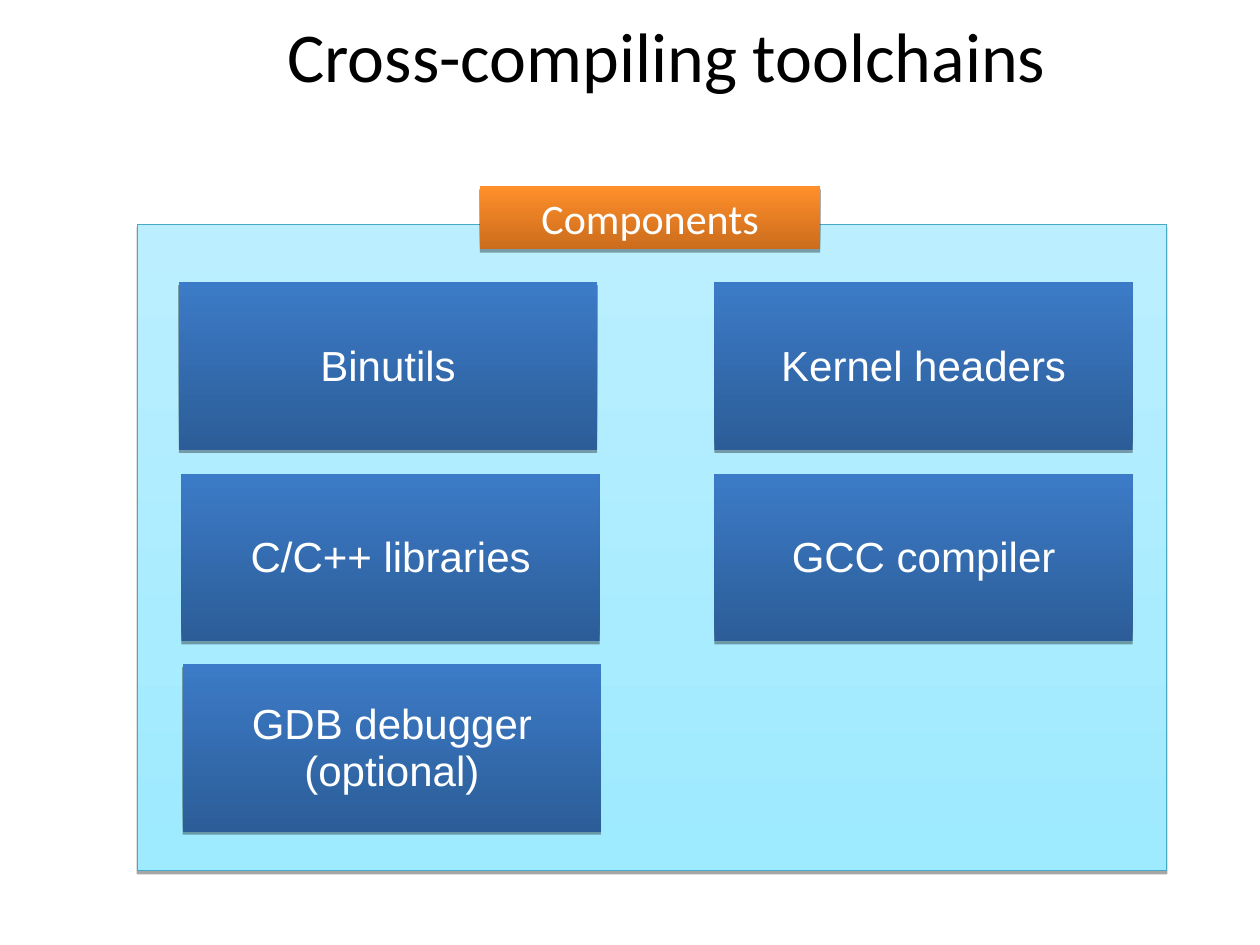
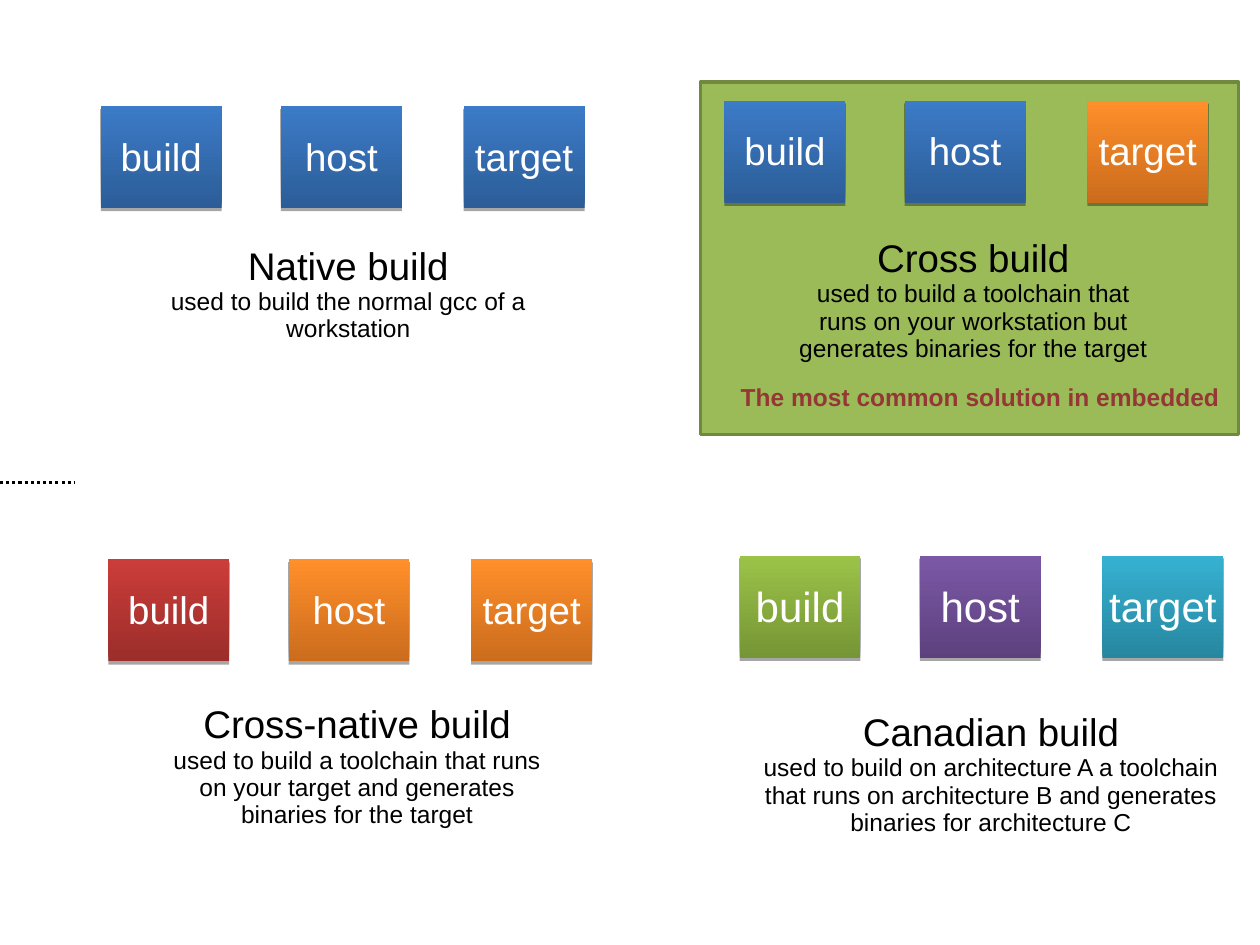
import pptx
import pptx.util
from pptx.dml.color import RGBColor
from pptx.enum.dml import MSO_LINE
from pptx.enum.shapes import MSO_CONNECTOR, MSO_SHAPE
from pptx.enum.text import MSO_ANCHOR, PP_ALIGN
from pptx.util import Inches
from lxml import etree

COLORS = {
    "white": "FFFFFF", "black": "000000", "note": "953735",
    "panel_line": "46AAC5", "highlight": "9BBB59", "highlight_line": "71893F",
}
# Gradients run from bottom to top.
GRADIENTS = {
    "panel": ("9EEAFF", "BBEFFF"),
    "blue": ("2C5D98", "3C7BC7"),
    "orange": ("CB6C1D", "FF8F2A"),
    "red": ("9B2D2A", "CB3D3A"),
    "green": ("769535", "9BC348"),
    "purple": ("5D417E", "7B58A6"),
    "cyan": ("2787A0", "36B1D2"),
}

TITLE = "Cross-compiling toolchains"
PANEL_LABEL = "Components"
RIGHT_COLUMN = 5.67
COMPONENT_SIZE = (3.32, 1.33)
# top, left of the first box, labels
COMPONENT_ROWS = [
    (2.24, 1.42, ["Binutils", "Kernel headers"]),
    (3.76, 1.44, ["C/C++ libraries", "GCC compiler"]),
    (5.27, 1.45, ["GDB debugger\n(optional)"]),
]

MACHINES = ["build", "host", "target"]
MACHINE_OFFSETS = [0, 1.43, 2.88]
MACHINE_SIZE = (0.96, 0.81)
BUILDS = [
    dict(name="Native build", at=(0.8, 0.84), size=22,
         fills=["blue", "blue", "blue"], box=(1.2, 1.93, 3.13, 0.78),
         use="used to build the normal gcc of a workstation"),
    dict(name="Cross build", at=(5.75, 0.8), size=22,
         fills=["blue", "blue", "orange"], box=(6.3, 1.87, 2.85, 1),
         use="used to build a toolchain that runs on your workstation "
             "but generates binaries for the target"),
    dict(name="Cross-native build", at=(0.86, 4.44), size=22,
         fills=["red", "orange", "orange"], box=(1.27, 5.57, 3.13, 1),
         use="used to build a toolchain that runs on your target "
             "and generates binaries for the target"),
    dict(name="Canadian build", at=(5.87, 4.41), size=24,
         fills=["green", "purple", "cyan"], box=(6.02, 5.63, 3.69, 1),
         use="used to build on architecture A a toolchain that runs on "
             "architecture B and generates binaries for architecture C"),
]
NOTE = "The most common solution in embedded"


def rgb(name):
    return RGBColor.from_string(COLORS[name])


def write(sp, text, sizes=(24,), font="Arial", color="white", bold=False,
          anchor=MSO_ANCHOR.MIDDLE, spacing=0.93, insets=(0, 0.02, 0, 0)):
    """Write one centred paragraph per line; the last size covers the rest."""
    tf = sp.text_frame
    tf.word_wrap = True
    tf.vertical_anchor = anchor
    (tf.margin_left, tf.margin_top,
     tf.margin_right, tf.margin_bottom) = map(Inches, insets)
    for i, line in enumerate(text.split("\n")):
        p = tf.paragraphs[0] if i == 0 else tf.add_paragraph()
        p.alignment = PP_ALIGN.CENTER
        p.line_spacing = spacing
        r = p.add_run()
        r.text = line
        r.font.size = pptx.util.Pt(sizes[min(i, len(sizes) - 1)])
        r.font.name = font
        r.font.bold = bold
        r.font.color.rgb = rgb(color)


def add_text(s, box, text, **fmt):
    sp = s.shapes.add_textbox(*map(Inches, box))
    write(sp, text, anchor=MSO_ANCHOR.TOP, **fmt)


def add_rect(s, box, fill, line=None, width=1):
    """Add a rectangle; a gradient name as fill also brings a shadow."""
    sp = s.shapes.add_shape(MSO_SHAPE.RECTANGLE, *map(Inches, box))
    sp.shadow.inherit = False
    if fill in GRADIENTS:
        sp.fill.gradient()
        sp.fill.gradient_angle = 90
        for stop, color in zip(sp.fill.gradient_stops, GRADIENTS[fill]):
            stop.color.rgb = RGBColor.from_string(color)
        add_shadow(sp)
    else:
        sp.fill.solid()
        sp.fill.fore_color.rgb = rgb(fill)
    if line:
        sp.line.color.rgb = rgb(line)
        sp.line.width = pptx.util.Pt(width)
    else:
        sp.line.fill.background()
    return sp


def add_shadow(sp):
    qn = pptx.oxml.ns.qn
    effects = sp._element.spPr.find(qn("a:effectLst"))
    shadow = etree.SubElement(effects, qn("a:outerShdw"), blurRad="0",
                              dist=str(pptx.util.Pt(1.8)), dir="5400000",
                              algn="ctr", rotWithShape="0")
    color = etree.SubElement(shadow, qn("a:srgbClr"), val=COLORS["black"])
    etree.SubElement(color, qn("a:alpha"), val="35000")


def components_slide(s):
    add_rect(s, (1.09, 1.78, 8.17, 5.13), "panel", "panel_line", 0.75)
    for top, left, labels in COMPONENT_ROWS:
        for x, label in zip((left, RIGHT_COLUMN), labels):
            write(add_rect(s, (x, top, *COMPONENT_SIZE), "blue"), label)
    insets = (0.1, 0.05, 0.1, 0.05)
    title = add_rect(s, (0.59, 0.05, 9.4, 0.77), "white", "white", 2)
    write(title, TITLE, sizes=(40,), font="Calibri", color="black",
          spacing=1.0, insets=insets)
    label = add_rect(s, (3.81, 1.48, 2.7, 0.5), "orange")
    write(label, PANEL_LABEL, font="Calibri", anchor=MSO_ANCHOR.TOP,
          spacing=1.0, insets=insets)


def builds_slide(s):
    add_rect(s, (5.56, 0.65, 4.27, 2.8), "highlight", "highlight_line", 2)
    for build in BUILDS:
        left, top = build["at"]
        for machine, dx, fill in zip(MACHINES, MACHINE_OFFSETS, build["fills"]):
            sp = add_rect(s, (left + dx, top, *MACHINE_SIZE), fill)
            write(sp, machine, sizes=(build["size"],))
        add_text(s, build["box"], f"{build['name']}\n{build['use']}",
                 sizes=(22, 14), color="black")
    add_text(s, (5.87, 3.04, 3.82, 0.22), NOTE, sizes=(14,), color="note",
             bold=True, insets=(0, 0.01, 0, 0))
    divider = s.shapes.add_connector(MSO_CONNECTOR.STRAIGHT, Inches(0),
                                     Inches(3.83), Inches(0.59), Inches(3.83))
    divider.line.color.rgb = rgb("black")
    divider.line.width = pptx.util.Pt(1.75)
    divider.line.dash_style = MSO_LINE.ROUND_DOT
    etree.SubElement(divider._element.spPr, pptx.oxml.ns.qn("a:effectLst"))


def main():
    prs = pptx.Presentation()
    prs.slide_width, prs.slide_height = Inches(10), Inches(7.5)
    for build_slide in (components_slide, builds_slide):
        build_slide(prs.slides.add_slide(prs.slide_layouts[6]))
    prs.save("out.pptx")


if __name__ == "__main__":
    main()
